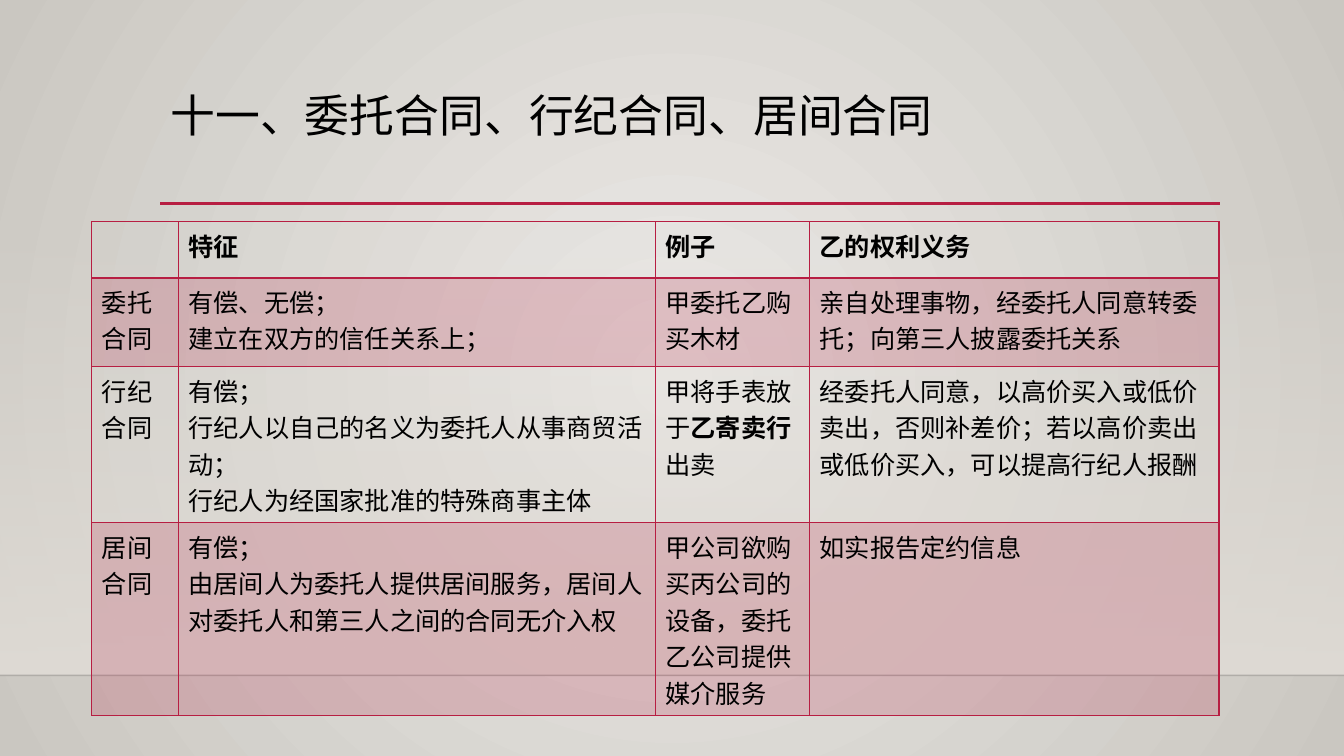
from lxml.etree import SubElement
from pptx import Presentation
from pptx.dml.color import RGBColor
from pptx.enum.shapes import MSO_CONNECTOR, MSO_SHAPE
from pptx.enum.text import MSO_ANCHOR, PP_ALIGN
from pptx.oxml import parse_xml
from pptx.oxml.ns import nsdecls, qn
from pptx.util import Inches, Pt

RED = RGBColor(0xB7, 0x1E, 0x42)
BLACK = RGBColor(0, 0, 0)
LIGHT = RGBColor(0xEC, 0xEA, 0xE7)
DARK = RGBColor(0xCA, 0xC7, 0xC1)
SAND = RGBColor(0xDF, 0xDB, 0xD5)
FONT = "Cabin"

COLS = [0.86, 4.73, 1.53, 4.06]
ROWS = [0.56, 0.88, 1.39, 1.54]
# A cell is a list of paragraphs, each a list of runs; "*" marks a bold run.
CELLS = [
    [[], [["*特征"]], [["*例子"]], [["*乙的权利义务"]]],
    [[["委托合同"]],
     [["有偿、无偿；"], ["建立在双方的信任关系上；"]],
     [["甲委托乙购买木材"]],
     [["亲自处理事物，经委托人同意转委托；向第三人披露委托关系"]]],
    [[["行纪合同"]],
     [["有偿；"], ["行纪人以自己的名义为委托人从事商贸活动；"],
      ["行纪人为经国家批准的特殊商事主体"]],
     [["甲将手表放于", "*乙寄卖行", "出卖"]],
     [["经委托人同意，以高价买入或低价卖出，否则补差价；"
       "若以高价卖出或低价买入，可以提高行纪人报酬"]]],
    [[["居间合同"]],
     [["有偿；"], ["由居间人为委托人提供居间服务，居间人对委托人和第三人之间的合同无介入权"]],
     [["甲公司欲购买丙公司的设备，委托乙公司提供媒介服务"]],
     [["如实报告定约信息"]]],
]


def style(font, size, bold=False):
    font.name, font.size, font.bold = FONT, Pt(size), bold
    font.color.rgb = BLACK


def fade(node, percent):
    """Set the opacity of the first colour found inside node."""
    color = next(node.iter(qn("a:srgbClr")))
    SubElement(color, qn("a:alpha")).set("val", str(percent * 1000))


def blend(fill, *colors):
    fill.gradient()
    for stop, color in zip(fill.gradient_stops, colors):
        stop.color.rgb = color


def add_line(slide, left, right, y, color, width):
    line = slide.shapes.add_connector(
        MSO_CONNECTOR.STRAIGHT, Inches(left), Inches(y), Inches(right), Inches(y))
    line.line.color.rgb = color
    line.line.width = Pt(width)
    SubElement(line.element.spPr, qn("a:effectLst"))
    return line


def add_back(slide, width, top, floor):
    """Lay the round glow, the wall that fades in, and the floor line."""
    fill = slide.background.fill
    blend(fill, LIGHT, DARK)
    lin = next(slide.element.iter(qn("a:lin")))
    lin.getparent().replace(lin, parse_xml(
        f'<a:path {nsdecls("a")} path="circle">'
        '<a:fillToRect l="50000" t="50000" r="50000" b="50000"/></a:path>'))

    wall = slide.shapes.add_shape(
        MSO_SHAPE.RECTANGLE, 0, Inches(top), Inches(width), Inches(floor - top))
    wall.shadow.inherit = False
    wall.line.fill.background()
    blend(wall.fill, SAND, SAND)
    wall.fill.gradient_angle = 270
    fade(wall.element.spPr, 0)

    edge = add_line(slide, 0, width, floor, BLACK, 1)
    fade(edge.element.spPr, 20)


def add_title(slide, left, top, width, height):
    title = slide.shapes.title
    title.left, title.top = Inches(left), Inches(top)
    title.width, title.height = Inches(width), Inches(height)
    frame = title.text_frame
    frame.text = "十一、委托合同、行纪合同、居间合同"
    frame.word_wrap = True
    frame.vertical_anchor = MSO_ANCHOR.TOP
    para = frame.paragraphs[0]
    para.alignment = PP_ALIGN.LEFT
    para.line_spacing = 0.9
    style(para.runs[0].font, 32)
    slide.shapes.element.append(title.element)
    add_line(slide, left, 12.1, top + 1.14, RED, 2.5)


def add_edges(cell, top, bottom):
    props = cell._tc.get_or_add_tcPr()
    for side, width in (("L", 1), ("R", 1), ("T", top), ("B", bottom)):
        props.append(parse_xml(
            f'<a:ln{side} {nsdecls("a")} w="{Pt(width)}"><a:solidFill>'
            f'<a:srgbClr val="{RED}"/></a:solidFill></a:ln{side}>'))


def fill_cell(cell, paras):
    frame = cell.text_frame
    frame.text = "\n".join("" for _ in paras)
    for para, runs in zip(frame.paragraphs, paras):
        for text in runs:
            run = para.add_run()
            run.text = text.lstrip("*")
            style(run.font, 18, text.startswith("*"))
    if not paras:
        style(frame.paragraphs[0].font, 18)


def add_grid(slide, left, top):
    table = slide.shapes.add_table(
        len(ROWS), len(COLS), Inches(left), Inches(top),
        Inches(sum(COLS)), Inches(sum(ROWS))).table
    table.first_row = table.horz_banding = False
    for col, width in zip(table.columns, COLS):
        col.width = Inches(width)
    for r, (row, height) in enumerate(zip(table.rows, ROWS)):
        row.height = Inches(height)
        for cell, paras in zip(row.cells, CELLS[r]):
            fill_cell(cell, paras)
            add_edges(cell, 2 if r == 1 else 1, 2 if r == 0 else 1)
            if r % 2:
                cell.fill.solid()
                cell.fill.fore_color.rgb = RED
                fade(cell._tc.tcPr.find(qn("a:solidFill")), 20)
            else:
                cell.fill.background()


def main():
    deck = Presentation()
    deck.slide_width, deck.slide_height = Inches(13.33), Inches(7.5)
    slide = deck.slides.add_slide(deck.slide_layouts[5])
    add_back(slide, 13.33, 2.21, 6.7)
    add_title(slide, 1.59, 0.88, 10.5, 1.15)
    add_grid(slide, 0.91, 2.2)
    deck.save("out.pptx")


if __name__ == "__main__":
    main()
